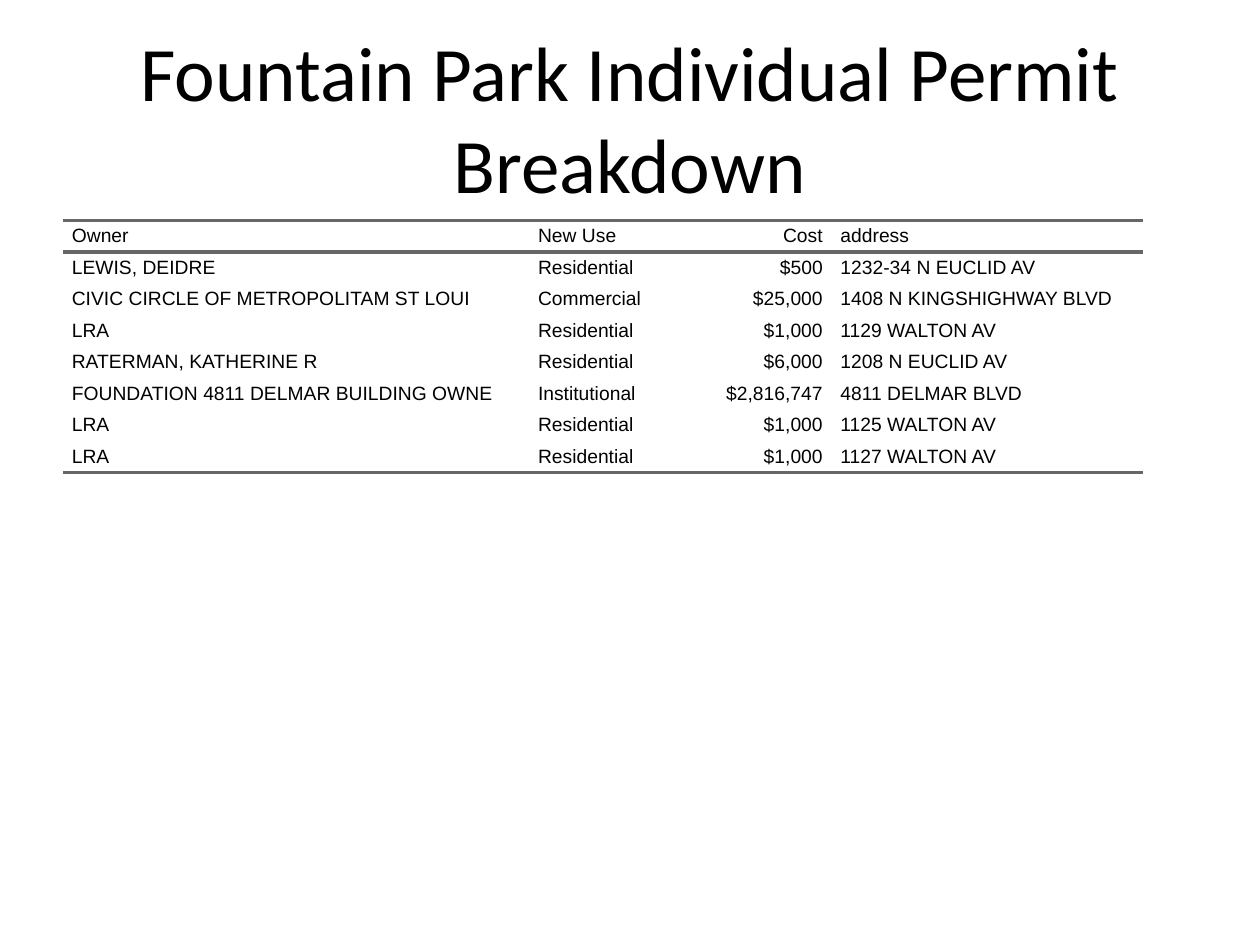
"""Build a slide listing the individual building permits of Fountain Park."""
from dataclasses import dataclass
from typing import NamedTuple

from lxml.etree import SubElement
from pptx import Presentation
from pptx.dml.color import RGBColor
from pptx.enum.text import MSO_ANCHOR, MSO_AUTO_SIZE, PP_ALIGN
from pptx.oxml import parse_xml
from pptx.oxml.ns import nsdecls, qn
from pptx.util import Inches, Pt


@dataclass(frozen=True)
class Theme:
    """Colours, fonts and sizes of the slide."""
    ink: RGBColor = RGBColor(0, 0, 0)
    rule: str = "666666"
    rule_width: int = Pt(2)
    title_font: str = "Calibri"
    title_size: int = Pt(44)
    table_font: str = "Arial"
    table_size: int = Pt(11)
    space_after: int = Pt(5)
    indent: int = Inches(0.07)
    table_style: str = "{2D5ABB26-0587-4C30-8999-92F81FD0307C}"


class Column(NamedTuple):
    """A heading, its share of the slide width and its alignment."""
    heading: str
    share: float
    align: PP_ALIGN = PP_ALIGN.LEFT


class Permit(NamedTuple):
    """One permit, in column order."""
    owner: str
    use: str
    cost: int
    address: str

    def texts(self) -> tuple:
        """Return the cell texts of the permit."""
        return self.owner, self.use, f"${self.cost:,}", self.address


THEME = Theme()
GRID_ROWS = 30
TABLE_ROW = 7
MARGIN = 0.05
TITLE = "Fountain Park Individual Permit Breakdown"
COLUMNS = (
    Column("Owner", 0.37),
    Column("New Use", 0.11),
    Column("Cost", 0.13, PP_ALIGN.RIGHT),
    Column("address", 0.247),
)
PERMITS = (
    Permit("LEWIS, DEIDRE", "Residential", 500, "1232-34 N EUCLID AV"),
    Permit("CIVIC CIRCLE OF METROPOLITAM ST LOUI", "Commercial", 25000, "1408 N KINGSHIGHWAY BLVD"),
    Permit("LRA", "Residential", 1000, "1129 WALTON AV"),
    Permit("RATERMAN, KATHERINE R", "Residential", 6000, "1208 N EUCLID AV"),
    Permit("FOUNDATION 4811 DELMAR BUILDING OWNE", "Institutional", 2816747, "4811 DELMAR BLVD"),
    Permit("LRA", "Residential", 1000, "1125 WALTON AV"),
    Permit("LRA", "Residential", 1000, "1127 WALTON AV"),
)


def apply(target, values: dict) -> None:
    """Set each named attribute of the target."""
    for name, value in values.items():
        setattr(target, name, value)


def style_font(font, name: str, size: int) -> None:
    """Give a font its name, size and the theme's ink."""
    apply(font, {"name": name, "size": size})
    font.color.rgb = THEME.ink


def add_rule(cell, side: str) -> None:
    """Draw a rule on the side lnT or lnB of a cell."""
    line = parse_xml(f'<a:{side} {nsdecls("a")} w="{THEME.rule_width}"/>')
    fill = SubElement(line, qn("a:solidFill"))
    SubElement(fill, qn("a:srgbClr"), val=THEME.rule)
    cell._tc.get_or_add_tcPr().insert(0, line)


def fill_cell(cell, text: str, align: PP_ALIGN, sides: tuple) -> None:
    """Write and format one table cell."""
    apply(cell, {"text": text, "vertical_anchor": MSO_ANCHOR.MIDDLE,
                 "margin_left": 0, "margin_right": 0, "margin_top": 0, "margin_bottom": 0})
    cell.fill.background()
    for side in sides:
        add_rule(cell, side)
    p = cell.text_frame.paragraphs[0]
    apply(p, {"alignment": align, "space_after": THEME.space_after})
    for edge in ("marL", "marR"):
        p._p.get_or_add_pPr().set(edge, str(THEME.indent))
    style_font(p.runs[0].font, THEME.table_font, THEME.table_size)


def add_title(s, width: int, height: int) -> None:
    """Place and format the title placeholder."""
    sp = s.shapes.title
    apply(sp, {"left": int(MARGIN * width), "top": int(0.04 * height),
               "width": int((1 - 2 * MARGIN) * width), "height": height // 6})
    tf = sp.text_frame
    apply(tf, {"text": TITLE, "word_wrap": True, "auto_size": MSO_AUTO_SIZE.NONE,
               "vertical_anchor": MSO_ANCHOR.MIDDLE})
    p = tf.paragraphs[0]
    p.alignment = PP_ALIGN.CENTER
    style_font(p.runs[0].font, THEME.title_font, THEME.title_size)


def add_permits(s, width: int, height: int) -> None:
    """Add the permit table below the title."""
    rows = [tuple(c.heading for c in COLUMNS), *(permit.texts() for permit in PERMITS)]
    row_height = height // GRID_ROWS
    table_width = int(sum(c.share for c in COLUMNS) * width)
    table = s.shapes.add_table(len(rows), len(COLUMNS), int(MARGIN * width), TABLE_ROW * row_height,
                               table_width, len(rows) * row_height).table
    apply(table, {"first_row": False, "horz_banding": False})
    table._tbl.tblPr.find(qn("a:tableStyleId")).text = THEME.table_style
    for column, c in zip(table.columns, COLUMNS):
        column.width = int(c.share * width)
    rules = {0: ("lnB", "lnT"), len(rows) - 1: ("lnB",)}
    for i, texts in enumerate(rows):
        for j, (text, c) in enumerate(zip(texts, COLUMNS)):
            fill_cell(table.cell(i, j), text, c.align, rules.get(i, ()))


def main() -> None:
    """Create and save the presentation."""
    prs = Presentation()
    apply(prs, {"slide_width": Inches(10), "slide_height": Inches(7.5)})
    s = prs.slides.add_slide(prs.slide_layouts.get_by_name("Title Only"))
    add_title(s, prs.slide_width, prs.slide_height)
    add_permits(s, prs.slide_width, prs.slide_height)
    prs.save("out.pptx")


if __name__ == "__main__":
    main()
